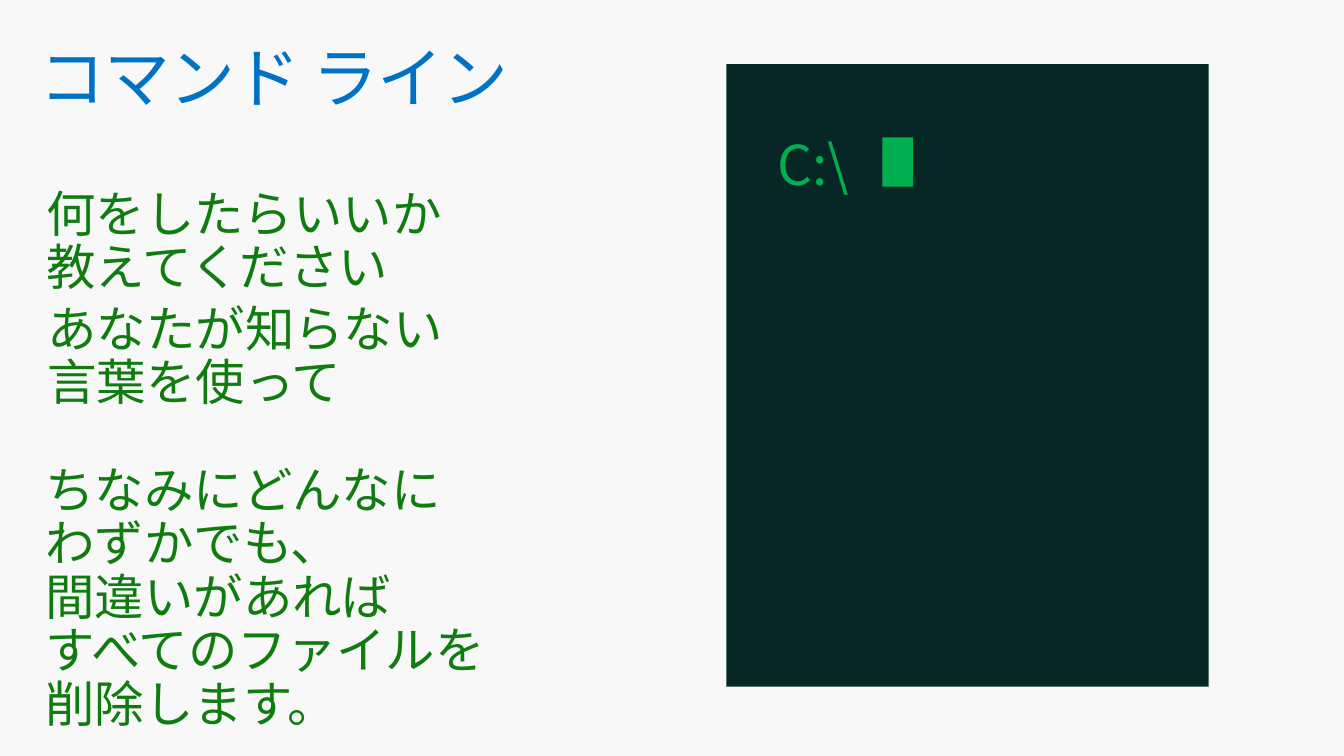
from lxml.etree import SubElement
from pptx import Presentation
from pptx.dml.color import RGBColor
from pptx.enum.shapes import MSO_SHAPE
from pptx.enum.text import MSO_ANCHOR, PP_ALIGN
from pptx.oxml.ns import qn
from pptx.util import Inches, Pt

BACKGROUND = RGBColor(0xF8, 0xF8, 0xF8)
BLUE = RGBColor(0x00, 0x72, 0xC6)
GREEN = RGBColor(0x10, 0x7C, 0x10)
TERMINAL = RGBColor(0x07, 0x27, 0x26)
PROMPT = RGBColor(0x00, 0xB0, 0x50)


class SlideBuilder:
    font_name = "Noto Sans CJK JP"
    line_height = 1.083  # line pitch relative to the text size

    def __init__(self, slide):
        self.slide = slide
        slide.background.fill.solid()
        slide.background.fill.fore_color.rgb = BACKGROUND

    def text(self, box, words, size, color, side=0.1, top=0.13, tracking=0):
        frame = self.slide.shapes.add_textbox(*map(Inches, box)).text_frame
        frame.word_wrap = True
        frame.vertical_anchor = MSO_ANCHOR.TOP
        frame.margin_left = frame.margin_right = Inches(side)
        frame.margin_top, frame.margin_bottom = Inches(top), Inches(0.1)
        paragraph = frame.paragraphs[0]
        paragraph.text = words
        paragraph.alignment = PP_ALIGN.LEFT
        paragraph.line_spacing = Pt(round(size * self.line_height, 1))
        for run in paragraph.runs:
            run.font.size = Pt(size)
            run.font.color.rgb = color
            run.font.name = self.font_name
            properties = run._r.get_or_add_rPr()
            SubElement(properties, qn("a:ea")).set("typeface", self.font_name)
            if tracking:
                properties.set("spc", str(round(tracking * 100)))

    def block(self, box, color):
        rectangle = self.slide.shapes.add_shape(MSO_SHAPE.RECTANGLE, *map(Inches, box))
        rectangle.shadow.inherit = False
        rectangle.fill.solid()
        rectangle.fill.fore_color.rgb = color
        rectangle.line.fill.background()


def main():
    deck = Presentation()
    deck.slide_width, deck.slide_height = Inches(13.6), Inches(7.65)
    page = SlideBuilder(deck.slides.add_slide(deck.slide_layouts[6]))

    # Title
    page.text((0.3, 0.32, 13, 1), "コマンド ライン", 48, BLUE, tracking=-0.7)

    # Plain-language description of the command line
    page.text((0.37, 1.78, 7.52, 0.81), "何をしたらいいか\v教えてください", 36, GREEN)
    page.text((0.32, 2.94, 5.24, 1.41), "あなたが知らない\v言葉を使って",
              36, GREEN, side=0.16)
    page.text((0.3, 4.57, 5.24, 2.63),
              "ちなみにどんなに\vわずかでも、\v間違いがあれば\vすべてのファイルを削除します。",
              36, GREEN, side=0.16)

    # Terminal window with prompt and cursor
    page.block((7.35, 0.65, 4.88, 6.3), TERMINAL)
    page.text((7.67, 1.2, 4.57, 0.95), "C:\\", 40, PROMPT, side=0.2, top=0.19)
    page.block((8.93, 1.39, 0.31, 0.5), PROMPT)

    deck.save("out.pptx")


if __name__ == "__main__":
    main()
